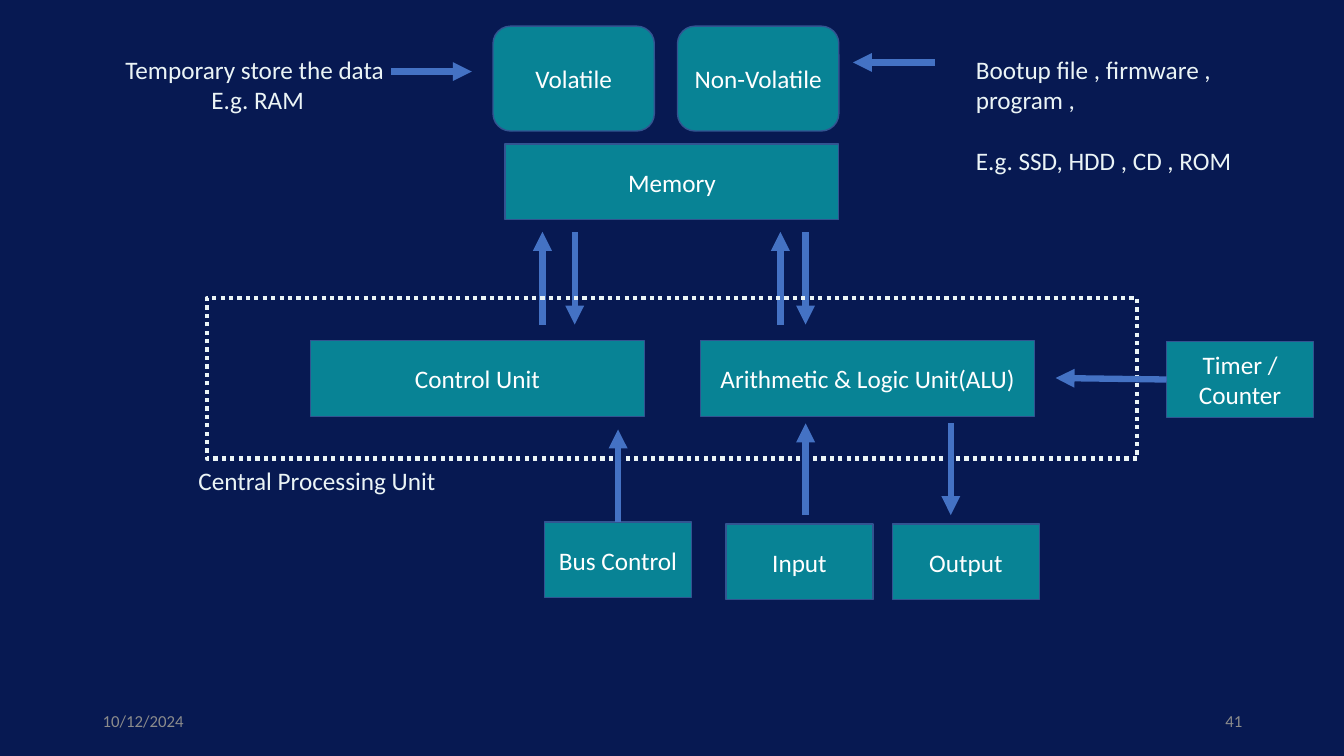
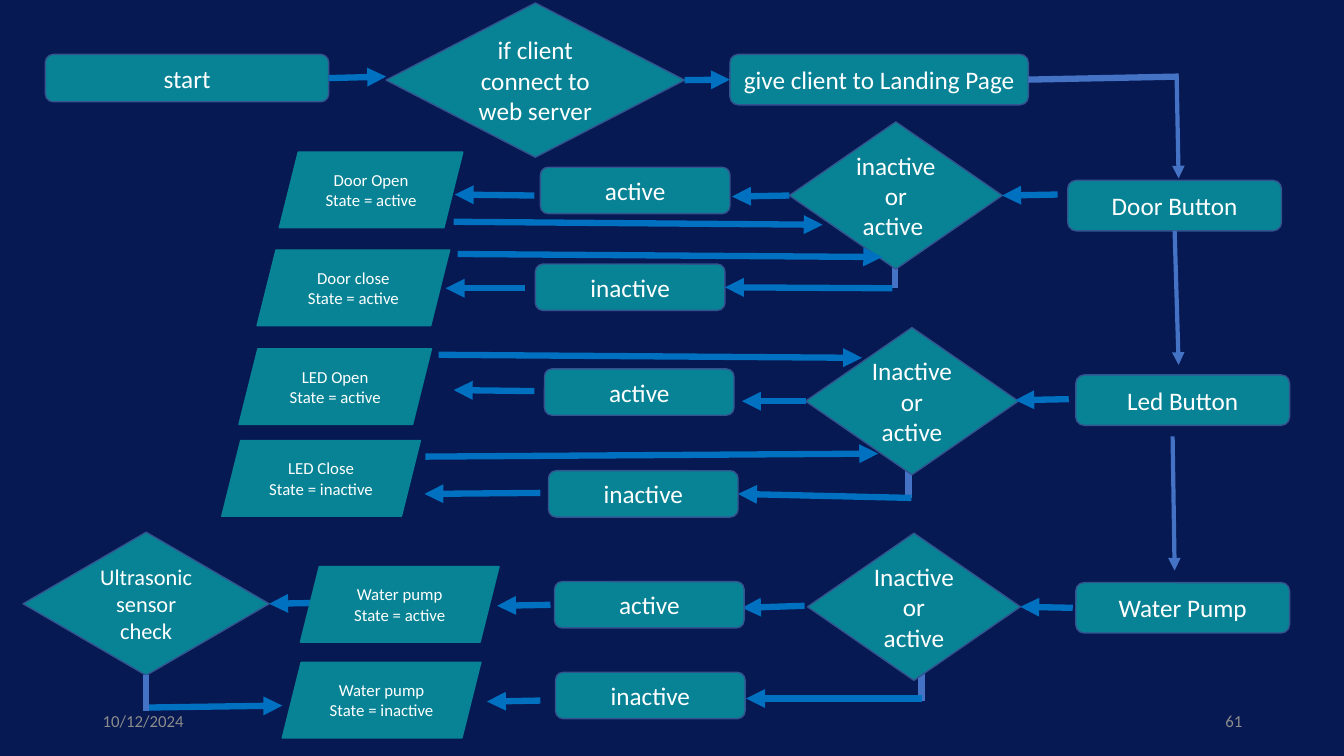
from dataclasses import dataclass
from itertools import product

from lxml import etree
from pptx import Presentation
from pptx import util as u
from pptx.dml.color import RGBColor
from pptx.enum import dml, shapes, text
from pptx.oxml import ns

EMU_PER_PX = 9144
FONT = "Calibri"
COLORS = {
    "background": "071952",
    "node": "088395",
    "outline": "325491",
    "blue": "4472C4",
    "bright": "0070C0",
    "light": "EBF4F6",
    "white": "FFFFFF",
    "footer": "8C8C8C",
}
PRESETS = {
    "box": shapes.MSO_SHAPE.RECTANGLE,
    "rounded": shapes.MSO_SHAPE.ROUNDED_RECTANGLE,
    "process": shapes.MSO_SHAPE.FLOWCHART_ALTERNATE_PROCESS,
    "decision": shapes.MSO_SHAPE.DIAMOND,
    "state": shapes.MSO_SHAPE.PARALLELOGRAM,
}
LEFT, CENTER, RIGHT = text.PP_ALIGN.LEFT, text.PP_ALIGN.CENTER, text.PP_ALIGN.RIGHT
TOP, MIDDLE = text.MSO_ANCHOR.TOP, text.MSO_ANCHOR.MIDDLE
GLUE_REACH = 2


@dataclass(frozen=True)
class Node:
    kind: str
    lines: tuple[str, ...]
    left: int
    top: int
    width: int
    height: int
    size: int = 18


@dataclass(frozen=True)
class Line:
    x1: int
    y1: int
    x2: int
    y2: int
    color: str = "bright"
    weight: float = 4.5
    arrow: bool = True


@dataclass(frozen=True)
class Label:
    lines: tuple[str, ...]
    left: int
    top: int
    width: int
    height: int
    align: text.PP_ALIGN = LEFT
    size: int = 18
    color: str = "light"
    anchor: text.MSO_ANCHOR = TOP
    gap: int = 0


@dataclass(frozen=True)
class Frame:
    left: int
    top: int
    width: int
    height: int


def px(length: int) -> u.Emu:
    return u.Emu(length * EMU_PER_PX)


def rgb(name: str) -> RGBColor:
    return RGBColor.from_string(COLORS[name])


def write(shape, lines, size, color, align, anchor, gap=0) -> None:
    frame = shape.text_frame
    frame.word_wrap = True
    frame.vertical_anchor = anchor
    for index, line in enumerate(lines):
        paragraph = frame.add_paragraph() if index else frame.paragraphs[0]
        paragraph.alignment = align
        if index and gap:
            paragraph.space_before = u.Pt(gap)
        run = paragraph.add_run()
        run.text = line
        run.font.name = FONT
        run.font.size = u.Pt(size)
        run.font.color.rgb = rgb(color)


def draw_node(slide, node: Node):
    box = map(px, (node.left, node.top, node.width, node.height))
    shape = slide.shapes.add_shape(PRESETS[node.kind], *box)
    shape.shadow.inherit = False
    shape.fill.solid()
    shape.fill.fore_color.rgb = rgb("node")
    shape.line.color.rgb = rgb("node" if node.kind == "state" else "outline")
    shape.line.width = u.Pt(1)
    write(shape, node.lines, node.size, "white", CENTER, MIDDLE)
    return shape


def draw_frame(slide, frame: Frame) -> None:
    box = map(px, (frame.left, frame.top, frame.width, frame.height))
    shape = slide.shapes.add_shape(PRESETS["box"], *box)
    shape.shadow.inherit = False
    shape.fill.background()
    shape.line.color.rgb = rgb("light")
    shape.line.width = u.Pt(3)
    shape.line.dash_style = dml.MSO_LINE.ROUND_DOT


def draw_label(slide, label: Label) -> None:
    box = map(px, (label.left, label.top, label.width, label.height))
    shape = slide.shapes.add_textbox(*box)
    write(shape, label.lines, label.size, label.color, label.align, label.anchor, label.gap)


def draw_line(slide, line: Line):
    ends = map(px, (line.x1, line.y1, line.x2, line.y2))
    connector = slide.shapes.add_connector(shapes.MSO_CONNECTOR.STRAIGHT, *ends)
    connector.line.color.rgb = rgb(line.color)
    connector.line.width = u.Pt(line.weight)
    properties = connector.element.spPr
    if line.arrow:
        outline = properties.find(ns.qn("a:ln"))
        etree.SubElement(outline, ns.qn("a:tailEnd"), type="triangle")
    etree.SubElement(properties, ns.qn("a:effectLst"))
    return connector


def touching_side(node: Node, x: int, y: int) -> int | None:
    middle_x, middle_y = node.left + node.width / 2, node.top + node.height / 2
    sides = (
        (middle_x, node.top),
        (node.left, middle_y),
        (middle_x, node.top + node.height),
        (node.left + node.width, middle_y),
    )
    for index, (side_x, side_y) in enumerate(sides):
        if max(abs(side_x - x), abs(side_y - y)) <= GLUE_REACH:
            return index
    return None


def join(line: Line, connector, node: Node, shape) -> None:
    start = touching_side(node, line.x1, line.y1)
    end = touching_side(node, line.x2, line.y2)
    if start is not None:
        connector.begin_connect(shape, start)
    if end is not None:
        connector.end_connect(shape, end)


def build_slide(presentation, items: list, number: str) -> None:
    slide = presentation.slides.add_slide(presentation.slide_layouts[6])
    nodes, lines = [], []
    for item in items:
        if isinstance(item, Node):
            nodes.append((item, draw_node(slide, item)))
        elif isinstance(item, Line):
            lines.append((item, draw_line(slide, item)))
        elif isinstance(item, Frame):
            draw_frame(slide, item)
        else:
            draw_label(slide, item)
    for (line, connector), (node, shape) in product(lines, nodes):
        if node.kind != "state":
            join(line, connector, node, shape)
    for content, left, align in (("10/12/2024", 92, LEFT), (number, 942, RIGHT)):
        draw_label(slide, Label((content,), left, 695, 300, 40, align, 12, "footer", MIDDLE))


def unit(name: str, left: int, top: int) -> Node:
    return Node("box", (name,), left, top, 331, 75)


def device(name: str, left: int, top: int) -> Node:
    return Node("box", (name,), left, top, 146, 75)


def storage(name: str, left: int) -> Node:
    return Node("rounded", (name,), left, 26, 160, 104)


def process(name: str, left: int, top: int, width: int, height: int) -> Node:
    return Node("process", (name,), left, top, width, height)


def button(name: str, left: int, top: int) -> Node:
    return process(name, left, top, 212, 50)


def choice(name: str, left: int, top: int) -> Node:
    return process(name, left, top, 188, 46)


def question(lines: tuple[str, ...], left: int, top: int) -> Node:
    return Node("decision", lines, left, top, 211, 146)


def state(name: str, value: str, left: int, top: int, width: int) -> Node:
    return Node("state", (name, f"State = {value}"), left, top, width, 75, 12)


def blue(x1: int, y1: int, x2: int, y2: int) -> Line:
    return Line(x1, y1, x2, y2, "blue")


def stem(x1: int, y1: int, x2: int, y2: int) -> Line:
    return Line(x1, y1, x2, y2, "blue", arrow=False)


def flow(x1: int, y1: int, x2: int, y2: int) -> Line:
    return Line(x1, y1, x2, y2, "blue", 3)


ARCHITECTURE = [
    unit("Memory", 501, 143),
    unit("Control Unit", 308, 338),
    unit("Arithmetic & Logic Unit(ALU)", 695, 338),
    *(blue(x, 322, x, 230) for x in (538, 774)),
    *(blue(x, 230, x, 322) for x in (570, 799)),
    Frame(205, 296, 923, 159),
    Label(("Central Processing Unit",), 187, 457, 343, 42),
    device("Input", 720, 520),
    device("Output", 885, 520),
    blue(799, 511, 799, 420),
    blue(943, 420, 943, 511),
    storage("Volatile", 489),
    storage("Non-Volatile", 672),
    blue(927, 62, 846, 62),
    Label(("Bootup file , firmware , program ,", "E.g. SSD, HDD , CD , ROM"),
          958, 49, 309, 131, gap=22),
    blue(388, 71, 468, 71),
    Label(("Temporary store the data ", "E.g. RAM"), 84, 49, 343, 71, CENTER),
    device("Bus Control", 540, 518),
    blue(613, 518, 613, 426),
    device("Timer / Counter", 1157, 339),
    blue(1157, 377, 1047, 375),
]

FLOWCHART = [
    Line(322, 598, 269, 599),
    stem(914, 695, 914, 631),
    stem(901, 494, 901, 430),
    stem(888, 286, 888, 216),
    process("start", 45, 54, 281, 47),
    Node("decision", ("if client connect to web server",), 383, 3, 296, 153),
    Line(325, 76, 383, 76),
    process("give client to Landing Page", 724, 54, 296, 50),
    Line(679, 79, 724, 79),
    question(("inactive or", "active "), 783, 121),
    button("Door Button", 1059, 179),
    stem(1020, 79, 1169, 76),
    flow(1167, 74, 1169, 177),
    button("Led Button", 1067, 372),
    button("Water Pump", 1067, 578),
    question(("Inactive or active",), 799, 325),
    question(("Inactive or active",), 801, 529),
    flow(1167, 229, 1169, 362),
    flow(1163, 433, 1165, 566),
    Line(1049, 193, 996, 194),
    Line(1060, 396, 1007, 397),
    Line(1064, 603, 1012, 604),
    Line(783, 194, 726, 195),
    Line(799, 398, 736, 398),
    Line(798, 601, 736, 603),
    Line(530, 194, 451, 193),
    Line(530, 388, 450, 387),
    Line(546, 600, 493, 601),
    state("Door Open", "active", 277, 151, 182),
    choice("active", 536, 166),
    choice("inactive", 531, 262),
    Line(885, 286, 719, 285),
    state("Door close", "active", 255, 248, 191),
    Line(521, 286, 442, 286),
    Line(904, 494, 732, 489),
    choice("active", 540, 366),
    choice("inactive", 544, 467),
    state("LED Open", "active", 237, 346, 191),
    state("LED Close", "inactive", 220, 437, 197),
    Line(536, 489, 421, 490),
    choice("active", 550, 577),
    state("Water pump", "active", 298, 562, 197),
    state("Water pump", "inactive", 280, 657, 197),
    choice("inactive", 551, 667),
    Line(536, 695, 483, 696),
    Line(914, 693, 740, 693),
    Node("decision", ("Ultrasonic sensor check",), 23, 528, 244, 142, 16),
    Line(143, 702, 280, 700),
    stem(145, 670, 145, 705),
    Line(422, 453, 871, 450),
    Line(435, 352, 855, 355),
    Line(454, 252, 875, 255),
    Line(450, 220, 816, 223),
]


def main() -> None:
    presentation = Presentation()
    presentation.slide_width = u.Inches(13.33)
    presentation.slide_height = u.Inches(7.5)
    background = presentation.slide_master.background.fill
    background.solid()
    background.fore_color.rgb = rgb("background")
    build_slide(presentation, ARCHITECTURE, "41")
    build_slide(presentation, FLOWCHART, "61")
    presentation.save("out.pptx")


if __name__ == "__main__":
    main()
